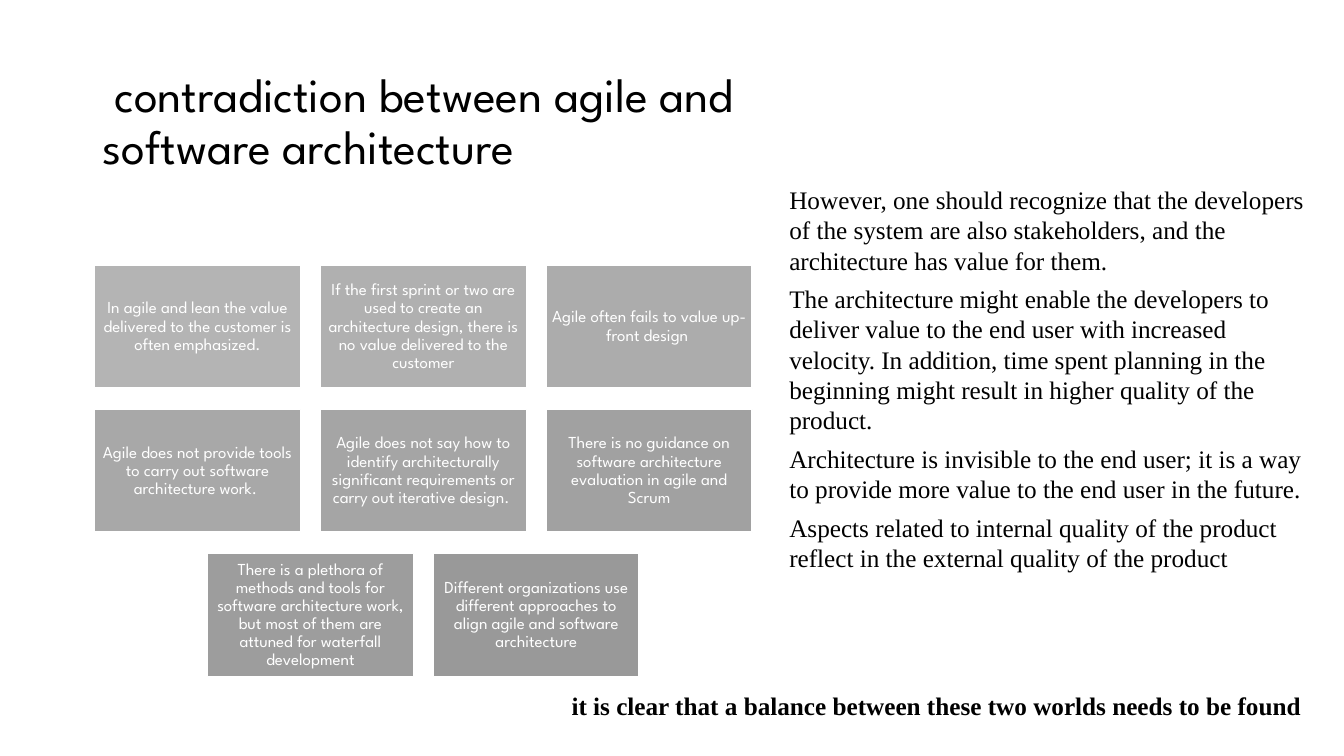
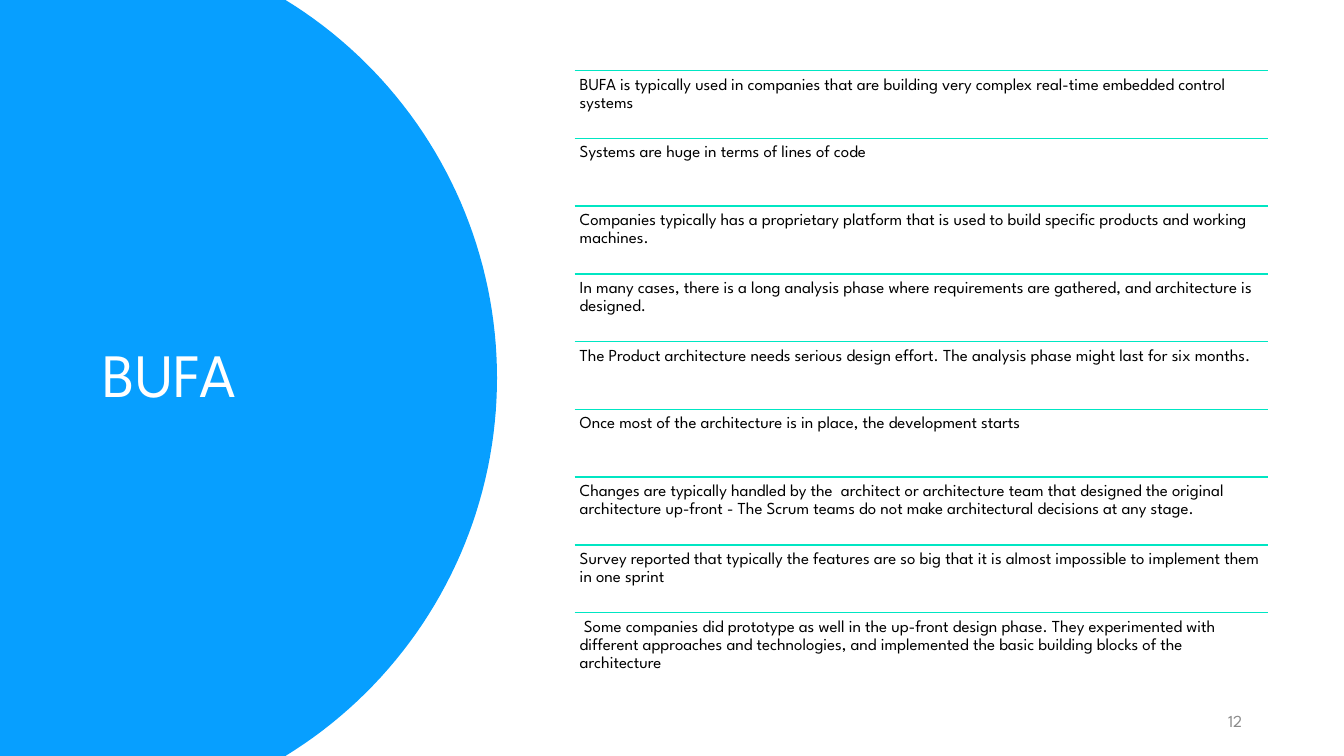
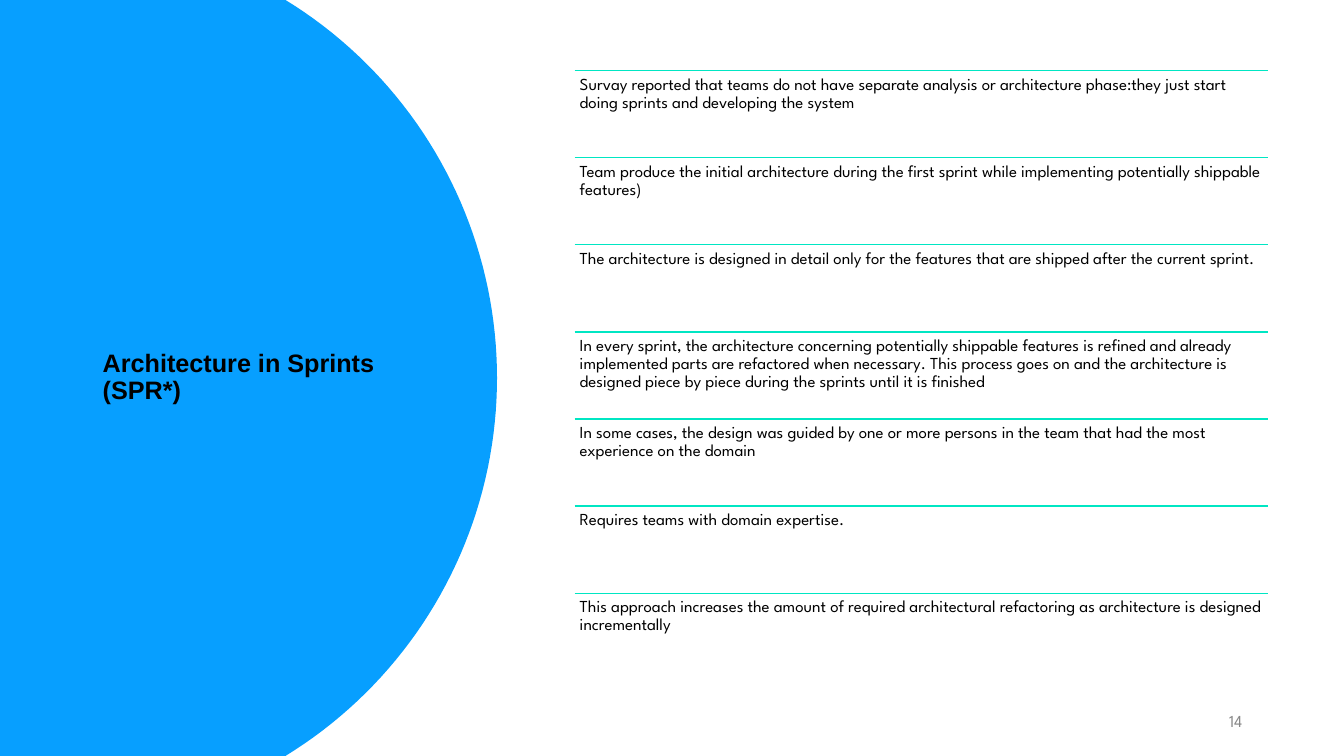
"""Builds three slides on agile methods and software architecture."""
from math import asin, cos, sin

from lxml.etree import SubElement
from pptx import Presentation
from pptx.dml.color import RGBColor
from pptx.enum.shapes import MSO_CONNECTOR, MSO_SHAPE
from pptx.enum.text import MSO_ANCHOR as ANCHOR, PP_ALIGN as ALIGN
from pptx.oxml.ns import qn
from pptx.util import Inches, Pt

WHITE = RGBColor(0xFF, 0xFF, 0xFF)
BLACK = RGBColor(0, 0, 0)
BLUE = RGBColor(0x07, 0x9F, 0xFF)
TEAL = RGBColor(0x00, 0xE6, 0xC3)
GREY = RGBColor(0x89, 0x89, 0x89)
SPARTAN, TIMES, ARIAL = "League Spartan", "Times New Roman", "Arial"
WIDTH, HEIGHT = 13.33, 7.5


def write(sp, texts, size, color=BLACK, font=SPARTAN, bold=False, align=ALIGN.LEFT,
          anchor=ANCHOR.TOP, inset=None, line=0.9, after=0):
    tf = sp.text_frame
    tf.word_wrap = True
    tf.vertical_anchor = anchor
    if inset is not None:
        tf.margin_left = tf.margin_right = tf.margin_top = tf.margin_bottom = Inches(inset)
    for i, text in enumerate(texts):
        p = tf.add_paragraph() if i else tf.paragraphs[0]
        p.text = text
        p.alignment = align
        p.line_spacing = line
        p.space_after = Pt(after)
        p.font.name, p.font.size, p.font.bold = font, Pt(size), bold
        p.font.color.rgb = color


def add_text(s, left, top, width, height, texts, size, **style):
    sp = s.shapes.add_textbox(Inches(left), Inches(top), Inches(width), Inches(height))
    write(sp, texts, size, **style)


prs = Presentation()
prs.slide_width, prs.slide_height = Inches(WIDTH), Inches(HEIGHT)
blank = prs.slide_layouts[6]

s = prs.slides.add_slide(blank)
add_text(s, 0.92, 0.4, 12.41, 1.64, [" contradiction between agile and\vsoftware architecture"], 34,
         anchor=ANCHOR.MIDDLE)
add_text(s, 7.73, 1.78, 5.35, 3.99, [
    "However, one should recognize that the developers of the system are also stakeholders, "
    "and the architecture has value for them.",
    "The architecture might enable the developers to deliver value to the end user with "
    "increased velocity. In addition, time spent planning in the beginning might result in "
    "higher quality of the product.",
    "Architecture is invisible to the end user; it is a way to provide more value to the end "
    "user in the future.",
    "Aspects related to internal quality of the product reflect in the external quality of the "
    "product",
], 18, font=TIMES, line=1.0, after=6)

card_rows = [
    ["In agile and lean the value delivered to the customer is often emphasized.",
     "If the first sprint or two are used to create an architecture design, there is no value "
     "delivered to the customer",
     "Agile often fails to value up-front design "],
    ["Agile does not provide tools to carry out software architecture work. ",
     "Agile does not say how to identify architecturally significant requirements or carry out "
     "iterative design. ",
     "There is no guidance on software architecture evaluation in agile and Scrum"],
    ["There is a plethora of methods and tools for software architecture work, but most of them "
     "are attuned for waterfall development",
     "Different organizations use different approaches to align agile and software architecture"],
]
card_w, card_h, pitch_x, pitch_y = 2.04, 1.22, 2.24, 1.43
count = sum(len(row) for row in card_rows)
n = 0
for i, row in enumerate(card_rows):
    row_left = 0.94 + (3 - len(row)) * pitch_x / 2
    for j, text in enumerate(row):
        sp = s.shapes.add_shape(MSO_SHAPE.RECTANGLE, Inches(row_left + j * pitch_x),
                                Inches(2.63 + i * pitch_y), Inches(card_w), Inches(card_h))
        sp.shadow.inherit = False
        shade = round(180 - 27 * n / (count - 1))
        sp.fill.solid()
        sp.fill.fore_color.rgb = RGBColor(shade, shade, shade)
        sp.line.color.rgb = WHITE
        sp.line.width = Pt(1)
        write(sp, [text], 12, color=WHITE, align=ALIGN.CENTER, anchor=ANCHOR.MIDDLE, inset=0.05)
        n += 1
add_text(s, 5.57, 6.8, 7.95, 0.4,
         ["it is clear that a balance between these two worlds needs to be found"], 18,
         font=TIMES, bold=True, line=1.0)

list_slides = [
    ("BUFA", dict(size=44, color=WHITE), "12", [
        "BUFA is typically used in companies that are building very complex real-time embedded "
        "control systems",
        "Systems are huge in terms of lines of code",
        "Companies typically has a proprietary platform that is used to build specific products "
        "and working machines.",
        "In many cases, there is a long analysis phase where requirements are gathered, and "
        "architecture is designed.",
        "The Product architecture needs serious design effort. The analysis phase might last for "
        "six months.",
        "Once most of the architecture is in place, the development starts",
        "Changes are typically handled by the  architect or architecture team that designed the "
        "original architecture up-front - The Scrum teams do not make architectural decisions at "
        "any stage.",
        "Survey reported that typically the features are so big that it is almost impossible to "
        "implement them in one sprint",
        " Some companies did prototype as well in the up-front design phase. They experimented "
        "with different approaches and technologies, and implemented the basic building blocks "
        "of the architecture",
    ]),
    ("Architecture in Sprints (SPR*)", dict(size=18, font=ARIAL, bold=True), "14", [
        "Survay reported that teams do not have separate analysis or architecture phase:they just "
        "start doing sprints and developing the system",
        "Team produce the initial architecture during the first sprint while implementing "
        "potentially shippable features)",
        "The architecture is designed in detail only for the features that are shipped after the "
        "current sprint.",
        "In every sprint, the architecture concerning potentially shippable features is refined "
        "and already implemented parts are refactored when necessary. This process goes on and "
        "the architecture is designed piece by piece during the sprints until it is finished",
        "In some cases, the design was guided by one or more persons in the team that had the "
        "most experience on the domain",
        "Requires teams with domain expertise.",
        "This approach increases the amount of required architectural refactoring as architecture "
        "is designed incrementally",
    ]),
]
center_x, center_y, radius, steps = 0.53, HEIGHT / 2, 4.4, 80
half_angle = asin(center_y / radius)
angles = [half_angle * (2 * i / steps - 1) for i in range(steps + 1)]
arc = [(Inches(center_x + radius * cos(a)), Inches(center_y + radius * sin(a))) for a in angles]
list_left, list_top, list_w, list_h = 5.7, 0.7, 6.88, 6.05

for title, title_style, number, items in list_slides:
    s = prs.slides.add_slide(blank)
    outline = s.shapes.build_freeform(0, 0)
    outline.add_line_segments(arc + [(0, Inches(HEIGHT))], close=True)
    sp = outline.convert_to_shape()
    sp.shadow.inherit = False
    sp.fill.solid()
    sp.fill.fore_color.rgb = BLUE
    sp.line.fill.background()
    add_text(s, 0.92, 0.7, 3.23, 6.09, [title], anchor=ANCHOR.MIDDLE, **title_style)
    add_text(s, 9.42, 6.95, 3, 0.4, [number], 12, color=GREY, align=ALIGN.RIGHT,
             anchor=ANCHOR.MIDDLE, line=1.0)
    row_h = list_h / len(items)
    for i, text in enumerate(items):
        top = list_top + i * row_h
        rule = s.shapes.add_connector(MSO_CONNECTOR.STRAIGHT, Inches(list_left), Inches(top),
                                      Inches(list_left + list_w), Inches(top))
        rule.line.color.rgb = TEAL
        rule.line.width = Pt(1)
        SubElement(rule._element.spPr, qn("a:effectLst"))
        add_text(s, list_left, top, list_w, row_h, [text], 12, inset=0.05)

prs.save("out.pptx")
